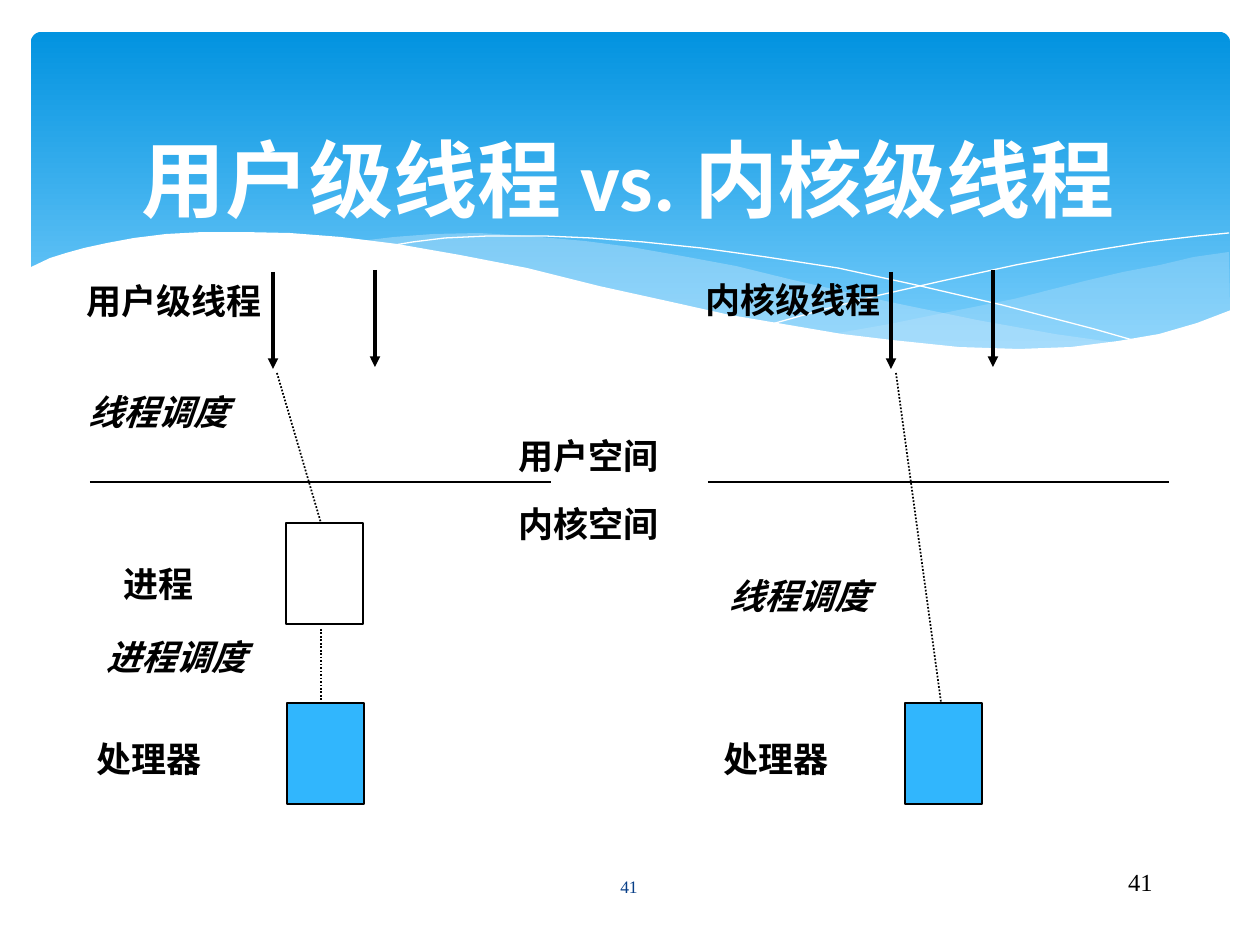
"""Build the slide comparing user-level and kernel-level threads."""
from dataclasses import dataclass

from lxml import etree
from pptx import Presentation
from pptx import util as u
from pptx.dml.color import RGBColor as Rgb
from pptx.enum import dml, shapes, text
from pptx.oxml.ns import qn

PX = 914400 / 126
STEP = 618


@dataclass(frozen=True)
class Theme:
    ink: str = "000000"
    paper: str = "FFFFFF"
    sky: tuple = ("0293E0", "83D3FE")
    mist: str = "C6E7FC"
    chip: str = "31B6FD"
    navy: str = "073E87"
    head: int = 48
    body: int = 20
    page: int = 14
    foot: int = 10


T = Theme()
RIGHT = [(1229, 252), (1194, 257), (1160, 265), (1123, 272), (1085, 281), (1014, 299),
         (949, 312), (890, 324), (833, 334), (871, 339), (922, 345), (969, 349),
         (1026, 350), (1076, 348), (1120, 343), (1160, 334), (1196, 324), (1230, 311)]
MID = [(1125, 344), (1055, 334), (977, 320), (890, 302), (793, 280), (736, 266),
       (682, 256), (631, 247), (585, 241), (529, 236), (479, 233), (433, 234),
       (394, 237), (360, 241), (407, 247), (456, 256), (509, 266), (566, 280),
       (668, 302), (736, 318), (799, 329), (857, 338), (910, 345), (959, 349),
       (1017, 352), (1068, 350), (1104, 347)]
FALL = [(389, 246), (413, 242), (445, 238), (488, 236), (545, 236), (591, 238),
        (643, 242), (701, 248), (766, 257), (838, 268), (916, 285), (1002, 305),
        (1094, 329), (1143, 343)]
RISE = [(772, 324), (822, 310), (876, 296), (942, 281), (1016, 265), (1091, 251),
        (1147, 242), (1198, 236), (1229, 233)]
FRONT = [(1231, 310), (1197, 323), (1159, 334), (1118, 341), (1071, 347), (1019, 349),
         (959, 347), (892, 340), (842, 334), (789, 325), (730, 315), (667, 301),
         (599, 286), (527, 268), (460, 255), (397, 244), (341, 237), (290, 233),
         (243, 232), (203, 232), (166, 234), (134, 238), (107, 243), (84, 248),
         (66, 253), (50, 258), (29, 268), (29, 415), (1231, 415)]


def emu(*vals):
    return [u.Emu(round(v * PX)) for v in vals]


def put(obj, **vals):
    for name, val in vals.items():
        setattr(obj, name, val)


def paint(shape, fill=None, line=None, width=1):
    shape.shadow.inherit = False
    if fill:
        shape.fill.solid()
        shape.fill.fore_color.rgb = Rgb.from_string(fill)
    else:
        shape.fill.background()
    if line:
        shape.line.color.rgb = Rgb.from_string(line)
        shape.line.width = u.Pt(width)
    else:
        shape.line.fill.background()


def wave(slide, pts, fill=None, line=None, alpha=None):
    pen = slide.shapes.build_freeform(*pts[0], scale=PX)
    pen.add_line_segments(pts[1:], close=bool(fill))
    shape = pen.convert_to_shape()
    paint(shape, fill, line, 0)
    if alpha:
        tone = shape.element.spPr.find(qn("a:solidFill"))[0]
        etree.SubElement(tone, qn("a:alpha"), val=str(alpha * 1000))


def banner(slide):
    panel = slide.shapes.add_shape(shapes.MSO_SHAPE.ROUNDED_RECTANGLE,
                                   *emu(31, 32, 1199, 340))
    panel.adjustments[0] = 0.03
    paint(panel)
    panel.fill.gradient()
    panel.fill.gradient_angle = 270
    for stop, tone in zip(panel.fill.gradient_stops, T.sky):
        stop.color.rgb = Rgb.from_string(tone)
    wave(slide, RIGHT, T.mist, alpha=29)
    wave(slide, MID, T.mist, alpha=40)
    for pts in (FALL, RISE):
        wave(slide, pts, line=T.paper)
    wave(slide, FRONT, T.paper)


def write(frame, words, size, face, tone, align=None, **font):
    para = frame.paragraphs[0]
    para.alignment = align
    run = para.add_run()
    run.text = words
    put(run.font, size=u.Pt(size), name=face, **font)
    run.font.color.rgb = Rgb.from_string(tone)


def heading(slide, words):
    title = slide.shapes.title
    title.element.getparent().append(title.element)
    left, top, width, height = emu(0, 109, 1256, 126)
    put(title, left=left, top=top, width=width, height=height)
    put(title.text_frame, vertical_anchor=text.MSO_ANCHOR.BOTTOM, word_wrap=True,
        auto_size=text.MSO_AUTO_SIZE.NONE)
    write(title.text_frame, words, T.head, "Calibri", T.paper,
          text.PP_ALIGN.CENTER, bold=True)


def label(slide, words, x, y, slant=False):
    width = 32 + 35 * len(words)
    frame = slide.shapes.add_textbox(*emu(x, y, width, 54)).text_frame
    put(frame, word_wrap=False, auto_size=text.MSO_AUTO_SIZE.NONE)
    write(frame, words, T.body, "Arial", T.ink, text.PP_ALIGN.LEFT,
          bold=True, italic=slant)


def number(slide, area, size, tone, align, anchor):
    frame = slide.shapes.add_textbox(*emu(*area)).text_frame
    put(frame, word_wrap=True, vertical_anchor=anchor)
    write(frame, "41", size, "Times New Roman", tone, align)


def box(slide, x, y, fill=None):
    shape = slide.shapes.add_shape(shapes.MSO_SHAPE.RECTANGLE, *emu(x, y, 77, 101))
    paint(shape, fill, T.ink)


def link(slide, ends, width=1, dash=None, arrow=False):
    line = slide.shapes.add_connector(shapes.MSO_CONNECTOR.STRAIGHT, *emu(*ends))
    line.line.color.rgb = Rgb.from_string(T.ink)
    put(line.line, width=u.Pt(width), dash_style=dash)
    if arrow:
        etree.SubElement(line.element.spPr.find(qn("a:ln")), qn("a:tailEnd"),
                         type="triangle")
    etree.SubElement(line.element.spPr, qn("a:effectLst"))


def model(slide, dx, dots):
    box(slide, 287 + dx, 703, T.chip)
    link(slide, (90 + dx, 482, 551 + dx, 482))
    for x, y in ((273, 272), (375, 270)):
        link(slide, (x + dx, y, x + dx, y + 97), 2, arrow=True)
    for ends in dots:
        link(slide, ends, dash=dml.MSO_LINE.ROUND_DOT)


def main():
    deck = Presentation()
    width, height = emu(1260, 945)
    put(deck, slide_width=width, slide_height=height)
    slide = deck.slides.add_slide(deck.slide_layouts[5])
    banner(slide)
    heading(slide, "用户级线程 vs. 内核级线程")
    model(slide, 0, [(277, 373, 321, 523), (321, 629, 321, 702)])
    box(slide, 286, 523)
    model(slide, STEP, [(896, 373, 941, 702)])
    for words, x, y in (("进程", 111, 556), ("处理器", 84, 731), ("用户级线程", 74, 273),
                        ("处理器", 711, 731), ("内核级线程", 693, 272),
                        ("内核空间", 506, 496), ("用户空间", 506, 428)):
        label(slide, words, x, y)
    for words, x, y in (("线程调度", 76, 384), ("进程调度", 94, 629),
                        ("线程调度", 717, 568)):
        label(slide, words, x, y, slant=True)
    number(slide, (903, 861, 262, 63), T.page, T.ink,
           text.PP_ALIGN.RIGHT, text.MSO_ANCHOR.TOP)
    number(slide, (549, 862, 160, 50), T.foot, T.navy,
           text.PP_ALIGN.CENTER, text.MSO_ANCHOR.MIDDLE)
    deck.save("out.pptx")


if __name__ == "__main__":
    main()
